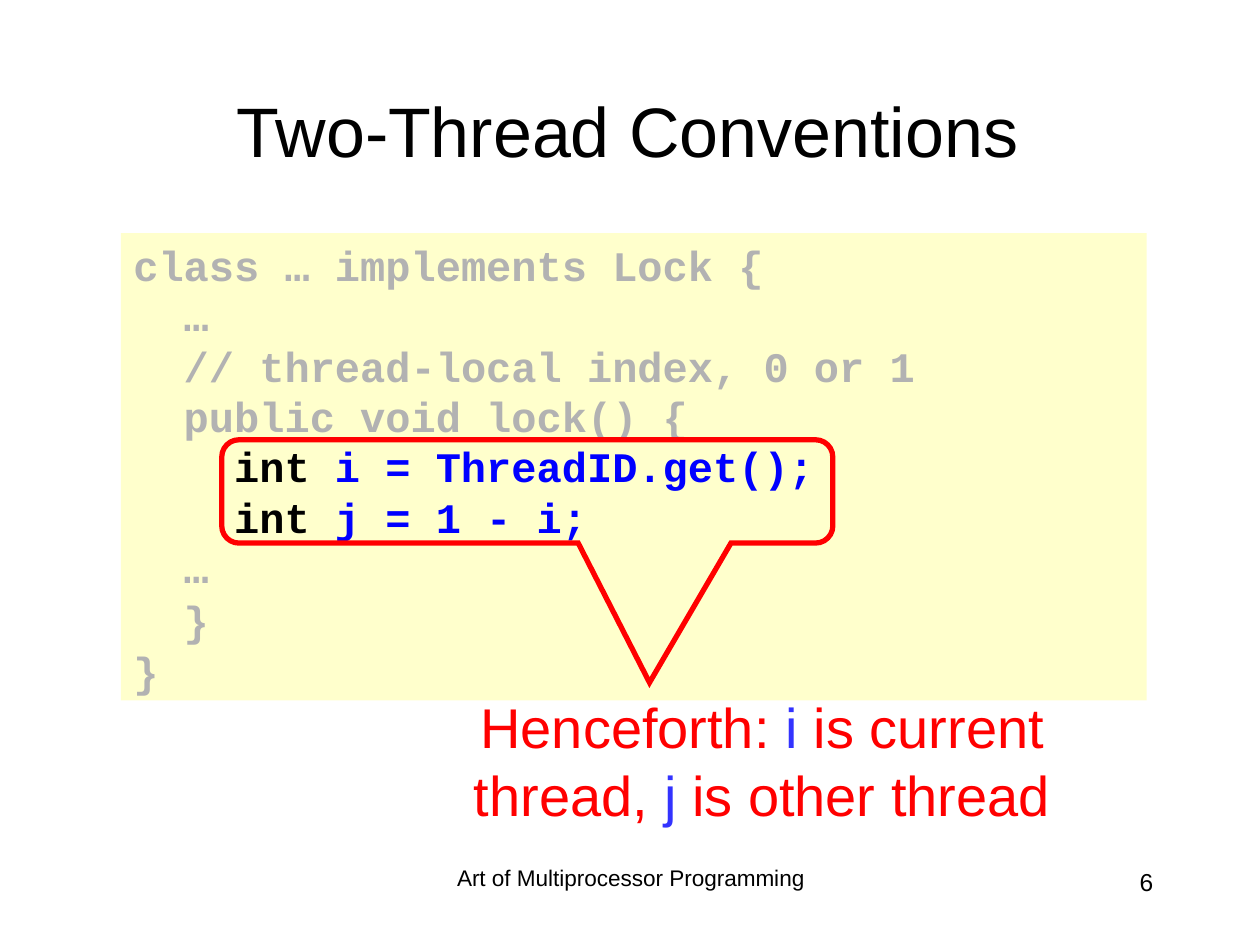
"""Build the Two-Thread Conventions slide with its code panel and callout."""
from dataclasses import dataclass

import pptx
import pptx.dml.color
import pptx.enum.shapes
import pptx.enum.text
import pptx.oxml.ns
import pptx.util
from lxml import etree
from pptx.util import Inches

ALIGN = pptx.enum.text.PP_ALIGN
ANCHOR = pptx.enum.text.MSO_ANCHOR
SHAPE = pptx.enum.shapes.MSO_SHAPE
BLACK, GREY, BLUE, RED, INDIGO = "000000", "B2B2B2", "0000FF", "FF0000", "3333FF"


@dataclass
class Run:
    text: str
    color: str = BLACK


@dataclass
class Line:
    runs: list[Run]
    spacing: float = 1.0
    before: float = 0


@dataclass
class Style:
    size: float
    align: ALIGN = ALIGN.CENTER
    font: str = "Arial"
    bold: bool = False
    anchor: ANCHOR = ANCHOR.TOP


@dataclass
class Label:
    box: tuple[float, float, float, float]
    lines: list[Line]
    style: Style


def rgb(value: str) -> pptx.dml.color.RGBColor:
    return pptx.dml.color.RGBColor.from_string(value)


def write(tf, lines: list[Line], style: Style) -> None:
    tf.word_wrap = True
    tf.vertical_anchor = style.anchor
    for i, line in enumerate(lines):
        p = tf.add_paragraph() if i else tf.paragraphs[0]
        p.alignment = style.align
        p.line_spacing = line.spacing
        p.space_before = pptx.util.Pt(line.before)
        for run in line.runs:
            r = p.add_run()
            r.text = run.text
            r.font.name = style.font
            r.font.size = pptx.util.Pt(style.size)
            r.font.bold = style.bold
            r.font.color.rgb = rgb(run.color)


def add_label(s, label: Label) -> None:
    sp = s.shapes.add_textbox(*map(Inches, label.box))
    write(sp.text_frame, label.lines, label.style)


def add_code_panel(s, label: Label, fill: str) -> None:
    sp = s.shapes.add_shape(SHAPE.RECTANGLE, *map(Inches, label.box))
    sp.shadow.inherit = False
    sp.fill.solid()
    sp.fill.fore_color.rgb = rgb(fill)
    sp.line.fill.background()
    write(sp.text_frame, label.lines, label.style)


def add_callout(s, box: tuple[float, float, float, float], tip: tuple[float, float]) -> None:
    sp = s.shapes.add_shape(SHAPE.ROUNDED_RECTANGULAR_CALLOUT, *map(Inches, box))
    sp.shadow.inherit = False
    sp.adjustments[0], sp.adjustments[1] = tip
    sp.fill.background()
    sp.line.color.rgb = rgb(RED)
    sp.line.width = pptx.util.Pt(3)
    ln = sp.element.spPr.find(pptx.oxml.ns.qn("a:ln"))
    etree.SubElement(ln, pptx.oxml.ns.qn("a:miter"), lim="800000")


CODE = Label(
    (0.96, 1.85, 8.14, 3.71),
    [
        Line([Run("class … implements Lock {", GREY)]),
        Line([Run("  …", GREY)]),
        Line([Run("  // thread-local index, 0 or 1", GREY)]),
        Line([Run("  public void lock() {", GREY)]),
        Line([Run("    int"), Run(" i = ThreadID.get();", BLUE)]),
        Line([Run("    int "), Run("j = 1 - i;", BLUE)]),
        Line([Run("  …", GREY)]),
        Line([Run("  }", GREY)], 0.7, 9),
        Line([Run("}", GREY)], 0.7, 9),
    ],
    Style(24, ALIGN.LEFT, "Courier New", True),
)
FOOTER = Label((3.42, 6.83, 3.17, 0.5), [Line([Run("Art of Multiprocessor Programming")], 0.9)], Style(12.9))
NUMBER = Label((7.17, 6.83, 2.08, 0.5), [Line([Run("6")])], Style(14, ALIGN.RIGHT))
TITLE = Label(
    (0.73, 0.4, 8.5, 1.25), [Line([Run("Two-Thread Conventions")])], Style(40, anchor=ANCHOR.MIDDLE)
)
REMARK = Label(
    (3.06, 5.45, 5.98, 1.17),
    [
        Line([
            Run("Henceforth: ", RED),
            Run("i", INDIGO),
            Run(" is current thread, ", RED),
            Run("j", INDIGO),
            Run(" is other thread", RED),
        ])
    ],
    Style(32),
)


def main() -> None:
    prs = pptx.Presentation()
    prs.slide_width, prs.slide_height = Inches(10), Inches(7.5)
    s = prs.slides.add_slide(prs.slide_layouts[6])
    add_code_panel(s, CODE, "FFFFCC")
    add_callout(s, (1.76, 3.49, 4.85, 0.82), (0.2, 1.85))
    for label in (TITLE, REMARK, FOOTER, NUMBER):
        add_label(s, label)
    prs.save("out.pptx")


if __name__ == "__main__":
    main()
